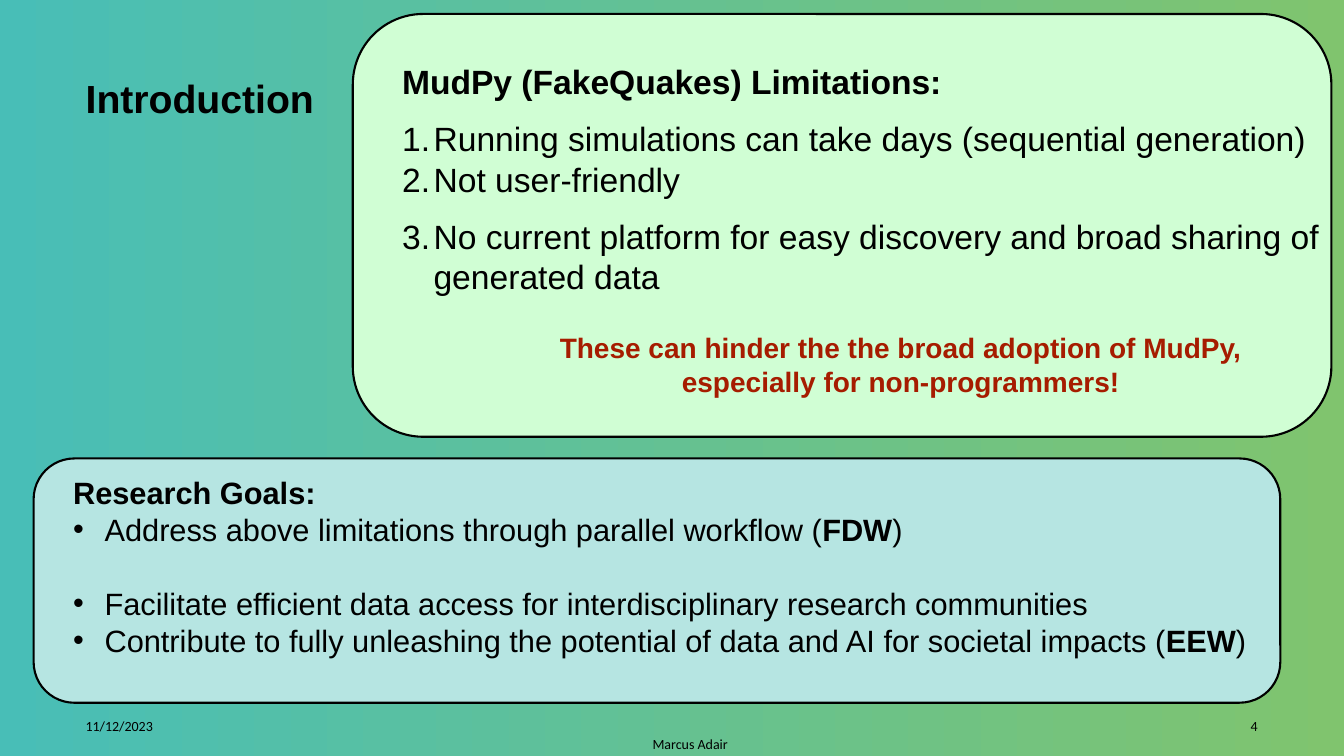
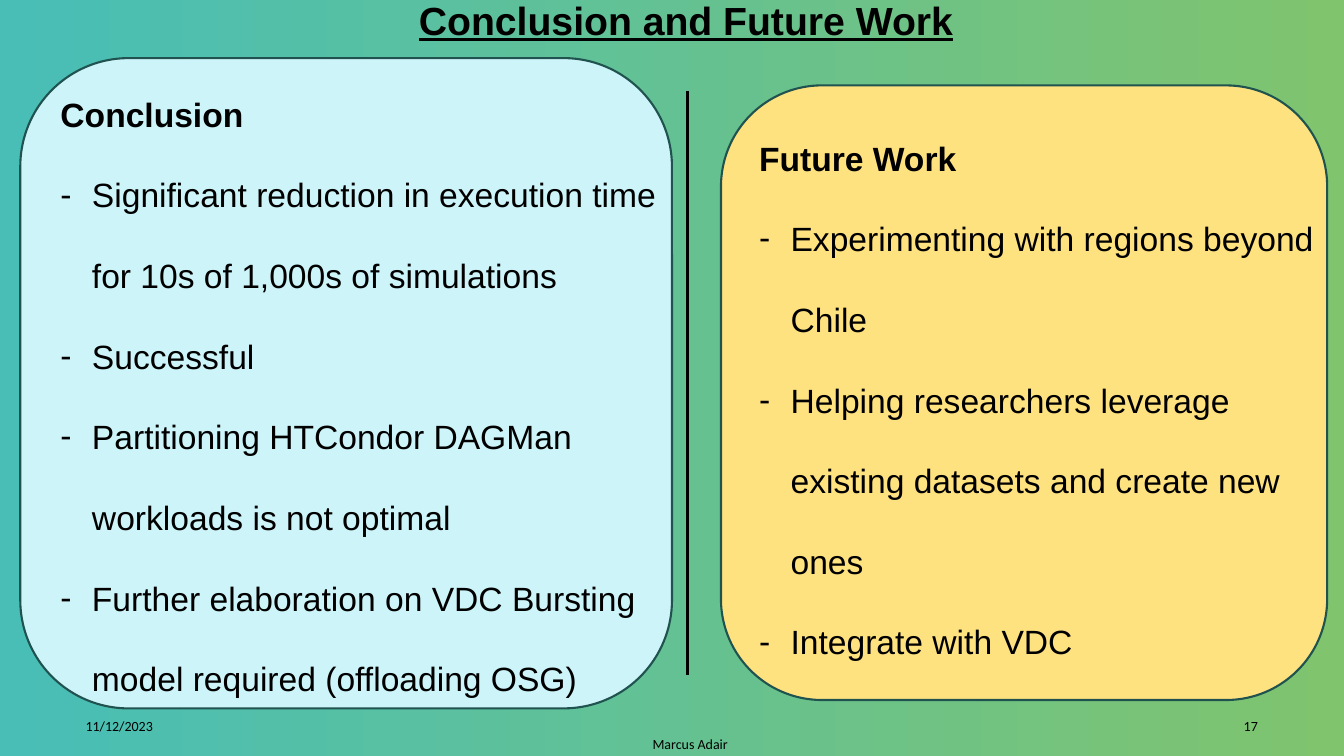
"""Build the introduction and conclusion slides of a research talk."""
from lxml.etree import SubElement
from pptx import Presentation
from pptx.dml.color import RGBColor
from pptx.enum.shapes import MSO_CONNECTOR, MSO_SHAPE
from pptx.enum.text import MSO_ANCHOR as Anchor, MSO_AUTO_SIZE as AutoSize, PP_ALIGN as Align
from pptx.oxml.ns import qn
from pptx.util import Pt

COLORS = {
    "teal": "48BEB7", "green": "80C46E", "black": "000000", "edge": "205350",
    "mint": "D0FED4", "aqua": "B6E5E2", "ice": "CDF4F9", "yellow": "FFE280",
    "red": "A61C00",
}
INDENT = Pt(22.5)


def color(name):
    return RGBColor.from_string(COLORS[name])


def write(frame, text, size=24, font="Arial", ink="black", bold=False, underline=False,
          align=Align.LEFT, bullet=None, spacing=1.0, after=0):
    """Append a paragraph; asterisks switch bold on and off."""
    para = frame.paragraphs[0] if not frame.text else frame.add_paragraph()
    properties = para._p.get_or_add_pPr()
    properties.set("marL", str(INDENT if bullet else 0))
    properties.set("indent", str(-INDENT if bullet else 0))
    if bullet == "1.":
        SubElement(properties, qn("a:buAutoNum"), type="arabicPeriod")
    elif bullet:
        SubElement(properties, qn("a:buChar"), char=bullet)
    else:
        SubElement(properties, qn("a:buNone"))
    para.alignment = align
    para.line_spacing = spacing
    para.space_before, para.space_after = Pt(0), Pt(after)
    for index, part in enumerate(text.split("*")):
        span = para.add_run()
        span.text = part
        span.font.name, span.font.size = font, Pt(size)
        span.font.bold = bold or index % 2 == 1
        span.font.underline = underline
        span.font.color.rgb = color(ink)


PAGES = [
    {
        "number": "4",
        "title": "Introduction",
        "title_at": (54, 31, 485, 78),
        "title_format": {},
        "edge": "black",
        "panels": [("aqua", (24, 327.5, 890.5, 174.5)), ("mint", (252, 10, 699, 302))],
        "lists": [
            ((45, 299.5, 869, 210), [
                ("Research Goals:", {"size": 22, "bold": True}),
                ("Address above limitations through parallel workflow (*FDW*)",
                 {"size": 22, "bullet": "•"}),
                ("Facilitate efficient data access for interdisciplinary research communities",
                 {"size": 22, "bullet": "•", "spacing": 2.0}),
                ("Contribute to fully unleashing the potential of data and AI for "
                 "societal impacts (*EEW*)", {"size": 22, "bullet": "•"}),
            ]),
            ((280, 0, 680, 255.5), [
                ("MudPy (FakeQuakes) Limitations:", {"bold": True, "after": 12}),
                ("Running simulations can take days (sequential generation)", {"bullet": "1."}),
                ("Not user-friendly", {"bullet": "1.", "after": 12}),
                ("No current platform for easy discovery and broad sharing of generated data",
                 {"bullet": "1.", "after": 12}),
            ]),
        ],
    },
    {
        "number": "17",
        "title": "Conclusion and Future Work",
        "title_at": (145, -25, 690, 78),
        "title_format": {"align": Align.CENTER, "underline": True},
        "edge": "edge",
        "panels": [("ice", (14.5, 41.5, 465.5, 464.5)), ("yellow", (515, 61, 433, 439))],
        "lists": [
            ((36, 34.5, 460, 468), [
                ("Conclusion", {"bold": True, "spacing": 2.0}),
                *[(item, {"bullet": "-", "spacing": 2.0}) for item in (
                    "Significant reduction in execution time for 10s of 1,000s of simulations",
                    "Successful",
                    "Partitioning HTCondor DAGMan workloads is not optimal",
                    "Further elaboration on VDC Bursting model required (offloading OSG)")],
            ]),
            ((535, 78, 425, 386), [
                ("Future Work", {"bold": True, "spacing": 2.0}),
                *[(item, {"bullet": "-", "spacing": 2.0}) for item in (
                    "Experimenting with regions beyond Chile",
                    "Helping researchers leverage existing datasets and create new ones",
                    "Integrate with VDC")],
            ]),
        ],
    },
]

deck = Presentation()
deck.slide_width, deck.slide_height = Pt(960), Pt(540)
backdrop = deck.slide_master.background.fill
backdrop.gradient()
backdrop.gradient_angle = 0
for stop, name in zip(backdrop.gradient_stops, ("teal", "green")):
    stop.color.rgb = color(name)

for content in PAGES:
    page = deck.slides.add_slide(deck.slide_layouts.get_by_name("Two Content"))
    title = page.shapes.title

    for fill, place in content["panels"]:
        panel = page.shapes.add_shape(MSO_SHAPE.ROUNDED_RECTANGLE, *map(Pt, place))
        panel.shadow.inherit = False
        panel.fill.solid()
        panel.fill.fore_color.rgb = color(fill)
        panel.line.color.rgb = color(content["edge"])
        panel.line.width = Pt(1.5)
        title.element.addprevious(panel.element)

    title_text = (content["title"], {"size": 28, "bold": True, **content["title_format"]})
    blocks = [(content["title_at"], [title_text]), *content["lists"]]
    for box, (place, paragraphs) in zip(page.placeholders, blocks):
        box.left, box.top, box.width, box.height = map(Pt, place)
        frame = box.text_frame
        frame.word_wrap = True
        frame.auto_size = AutoSize.NONE
        frame.vertical_anchor = Anchor.MIDDLE
        for text, style in paragraphs:
            write(frame, text, **style)

    for text, place, align in (
        ("11/12/2023", (54, 506, 126, 25), Align.LEFT),
        ("Marcus Adair", (430, 522, 126, 18), Align.CENTER),
        (content["number"], (862.5, 506, 43, 25), Align.RIGHT),
    ):
        footer = page.shapes.add_textbox(*map(Pt, place)).text_frame
        footer.word_wrap = True
        footer.vertical_anchor = Anchor.MIDDLE
        write(footer, text, size=10, font="Calibri", align=align)

introduction, conclusion = deck.slides
warning = introduction.shapes.add_textbox(Pt(381.5), Pt(232.5), Pt(524), Pt(60)).text_frame
warning.word_wrap = True
write(warning, "These can hinder the the broad adoption of MudPy, especially for non-programmers!",
      size=20, ink="red", bold=True, align=Align.CENTER)

divider = conclusion.shapes.add_connector(
    MSO_CONNECTOR.STRAIGHT, Pt(491), Pt(65), Pt(491), Pt(482.5))
divider.line.color.rgb = color("black")
divider.line.width = Pt(2.25)
SubElement(divider.element.spPr, qn("a:effectLst"))

deck.save("out.pptx")
